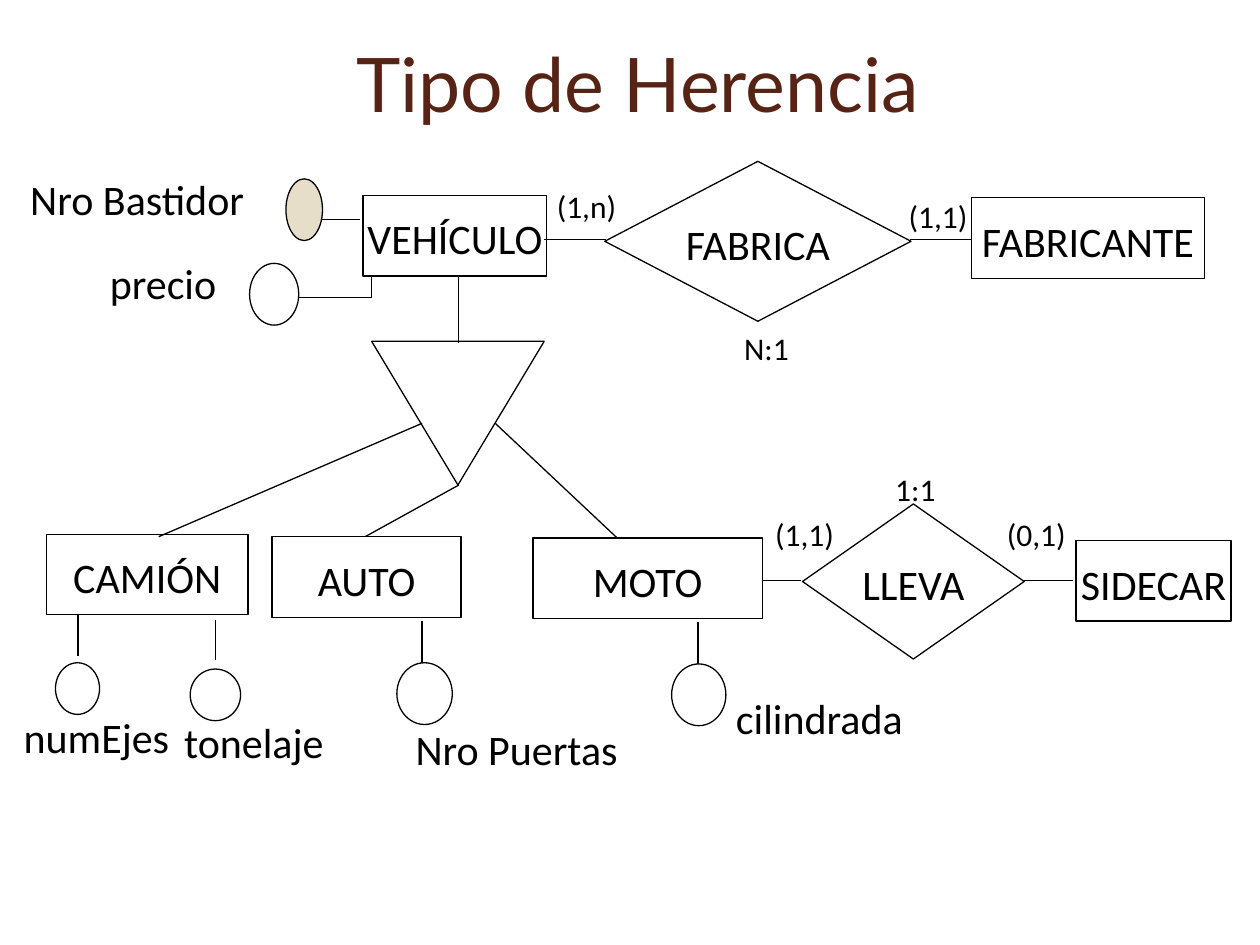
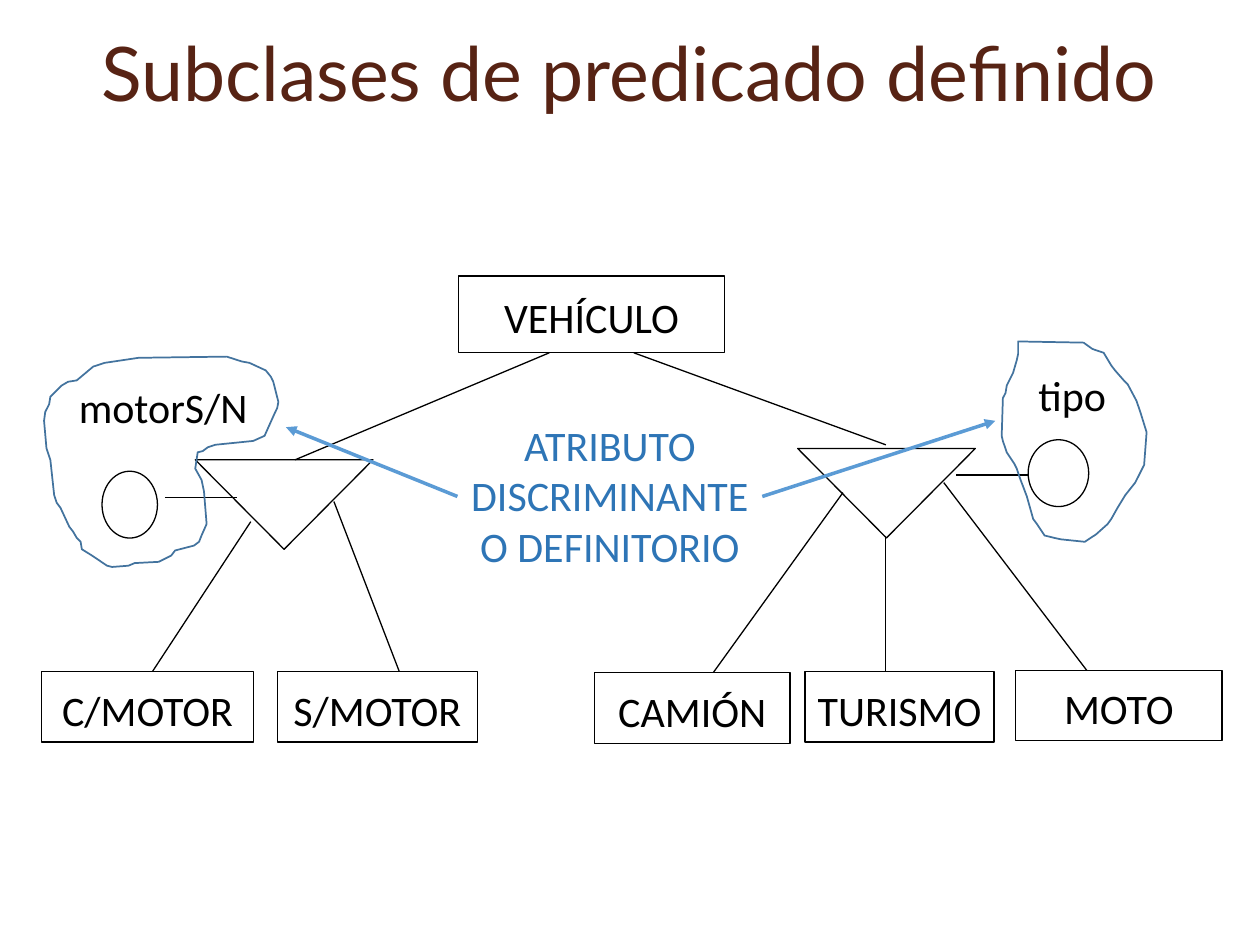
from dataclasses import dataclass

from lxml import etree
from pptx import Presentation
from pptx.dml.color import RGBColor
from pptx.enum import shapes as sh, text as tx
from pptx.oxml import ns
from pptx.util import Pt

Kind = sh.MSO_SHAPE
Align = tx.PP_ALIGN


@dataclass(frozen=True)
class Theme:
    ink: str = "000000"
    paper: str = "FFFFFF"
    title: str = "572314"
    key: str = "E7DEC9"
    cloud: str = "43739E"
    arrow: str = "5B9BD5"
    note: str = "2E75B6"
    head: str = "Lato"
    body: str = "Calibri"
    big: float = 43
    mid: float = 24
    small: float = 18
    thin: float = 0.75
    bold: float = 1
    thick: float = 2


THEME = Theme()


@dataclass(frozen=True)
class Node:
    kind: Kind
    left: float
    top: float
    width: float
    height: float
    text: str = ""
    fill: str = ""
    line: float = THEME.thin


@dataclass(frozen=True)
class Label:
    text: str
    left: float
    top: float
    width: float
    height: float
    size: float = THEME.mid
    color: str = THEME.ink
    font: str = THEME.body
    align: Align = Align.CENTER
    middle: bool = False


@dataclass(frozen=True)
class Link:
    x1: float
    y1: float
    x2: float
    y2: float
    color: str = THEME.ink
    line: float = THEME.thin
    arrow: bool = False


def rgb(code: str) -> RGBColor:
    return RGBColor.from_string(code)


def write(frame, text: str, size: float, color: str, font: str,
          align: Align, middle: bool) -> None:
    """Fill a text frame, one paragraph a line; only left text wraps."""
    frame.word_wrap = align == Align.LEFT
    frame.margin_left = frame.margin_right = 0
    frame.margin_top, frame.margin_bottom = Pt(3.6), Pt(0.7)
    frame.vertical_anchor = tx.MSO_ANCHOR.MIDDLE if middle else tx.MSO_ANCHOR.TOP
    frame.text = text
    for para in frame.paragraphs:
        para.alignment = align
        para.font.size = Pt(size)
        para.font.name = font
        para.font.color.rgb = rgb(color)


def style(shape, fill: str, color: str, line: float) -> None:
    shape.shadow.inherit = False
    if fill:
        shape.fill.solid()
        shape.fill.fore_color.rgb = rgb(fill)
    else:
        shape.fill.background()
    shape.line.color.rgb = rgb(color)
    shape.line.width = Pt(line)


def add_node(slide, node: Node) -> None:
    place = map(Pt, (node.left, node.top, node.width, node.height))
    shape = slide.shapes.add_shape(node.kind, *place)
    style(shape, node.fill, THEME.ink, node.line)
    if node.kind == Kind.ISOSCELES_TRIANGLE:
        shape._element.spPr.xfrm.set("flipV", "1")
    if node.text:
        write(shape.text_frame, node.text, THEME.mid, THEME.ink,
              THEME.body, Align.CENTER, True)


def add_label(slide, label: Label) -> None:
    place = map(Pt, (label.left, label.top, label.width, label.height))
    box = slide.shapes.add_textbox(*place)
    write(box.text_frame, label.text, label.size, label.color,
          label.font, label.align, label.middle)


def add_link(slide, link: Link) -> None:
    ends = map(Pt, (link.x1, link.y1, link.x2, link.y2))
    wire = slide.shapes.add_connector(sh.MSO_CONNECTOR.STRAIGHT, *ends)
    wire.line.color.rgb = rgb(link.color)
    wire.line.width = Pt(link.line)
    if link.arrow:
        tail = etree.SubElement(wire.line._get_or_add_ln(), ns.qn("a:tailEnd"))
        tail.set("type", "triangle")
    etree.SubElement(wire._element.spPr, ns.qn("a:effectLst"))


def add_cloud(slide, points: list[tuple[float, float]]) -> None:
    dots = [(Pt(x), Pt(y)) for x, y in points]
    pen = slide.shapes.build_freeform(*dots[0])
    pen.add_line_segments(dots[1:], close=True)
    style(pen.convert_to_shape(), "", THEME.cloud, THEME.bold)


def box(left: float, top: float, width: float, text: str, height: float = 46.1,
        fill: str = "", line: float = THEME.thin) -> Node:
    return Node(Kind.RECTANGLE, left, top, width, height, text, fill, line)


def leaf(left: float, top: float, width: float, text: str) -> Node:
    return box(left, top, width, text, 40.3, THEME.paper)


def oval(left: float, top: float, width: float, height: float,
         fill: str = THEME.paper) -> Node:
    return Node(Kind.OVAL, left, top, width, height, fill=fill)


def isa(left: float, top: float, width: float, height: float) -> Node:
    return Node(Kind.ISOSCELES_TRIANGLE, left, top, width, height)


def count(text: str, left: float, top: float, width: float = 43.9) -> Label:
    return Label(text, left, top, width, 30, THEME.small)


def heading(text: str, left: float, top: float, height: float) -> Label:
    return Label(text, left, top, 678.2, height, THEME.big, THEME.title,
                 THEME.head, middle=True)


TYPES = [
    Link(434.9, 331.9, 457.9, 331.9),
    Link(170.6, 169.9, 212.4, 169.9),
    Link(212.4, 158.4, 212.4, 169.9),
    Link(398.9, 355.7, 398.9, 379.4),
    Link(519.8, 136.8, 555.1, 136.8),
    Link(241.2, 241.9, 90.7, 306.7),
    Link(283, 241.9, 353.5, 308.2),
    Link(262.1, 277.2, 207.4, 307.4),
    Link(585.4, 331.9, 613.4, 331.9),
    Link(44.6, 351.4, 44.6, 375.1),
    Link(123.1, 354.2, 123.1, 377.3),
    Link(241.2, 355, 241.2, 378.7),
    Link(262.1, 157.7, 262.1, 195.8),
    Link(177.8, 125.3, 205.9, 125.3),
    Link(311, 136.8, 346.3, 136.8),
    box(207.4, 111.6, 105.1, "VEHÍCULO"),
    box(555.1, 113, 133.2, "FABRICANTE"),
    box(26.6, 305.3, 115.2, "CAMIÓN"),
    box(155.5, 306.7, 108, "AUTO", fill=THEME.paper),
    box(304.6, 307.4, 131, "MOTO", fill=THEME.paper),
    box(614.9, 308.9, 88.6, "SIDECAR", line=THEME.bold),
    Node(Kind.DIAMOND, 345.6, 92.2, 175, 91.4, "FABRICA"),
    Node(Kind.DIAMOND, 458.6, 288, 126.7, 88.6, "LLEVA"),
    isa(212.4, 195.1, 98.6, 82.1),
    oval(163.4, 102.2, 20.9, 35.3, THEME.key),
    oval(142.6, 150.5, 28.1, 35.3),
    oval(31.7, 378.7, 25.2, 29.5),
    oval(108.7, 382.3, 28.8, 29.5),
    oval(226.8, 378.7, 31.7, 35.3),
    oval(383.8, 379.4, 31, 35.3),
    Label("Nro Bastidor", 17.3, 95.8, 170.6, 51, align=Align.LEFT),
    Label("precio", 54.7, 143.6, 77, 51),
    Label("numEjes", 12.1, 403.2, 86, 51),
    Label("tonelaje", 101.5, 406.1, 87.1, 51),
    Label("Nro Puertas", 235.2, 409.7, 120, 44.6),
    Label("cilindrada", 413.2, 392.4, 110, 51),
    count("(1,n)", 313.2, 103.4),
    count("(1,1)", 514.1, 108.9),
    count("N:1", 416, 184.5),
    count("(1,1)", 437.8, 290.9),
    count("(0,1)", 570.2, 290.9),
    count("1:1", 508.3, 265, 29.5),
]

CLASSES = [
    Link(313.9, 201.6, 168.5, 262.8),
    Link(362.2, 201.6, 506.2, 254.2),
    Link(143.3, 298.1, 87.1, 383.8),
    Link(190.8, 286.6, 228.2, 383.8),
    Link(481.7, 281.5, 407.5, 384.5),
    Link(506.2, 306, 506.2, 383.8),
    Link(539.3, 275.8, 622.1, 384.5),
    Link(94.3, 284.4, 135.4, 284.4),
    Link(546.5, 271.4, 587.5, 271.4),
    box(262.1, 157.7, 151.9, "VEHÍCULO", 43.9),
    leaf(23.8, 383.8, 121, "C/MOTOR"),
    leaf(158.4, 383.8, 114.5, "S/MOTOR"),
    leaf(339.8, 384.5, 111.6, "CAMIÓN"),
    leaf(460.1, 383.8, 108, "TURISMO"),
    leaf(580.3, 383, 118.1, "MOTO"),
    isa(111.6, 262.8, 101.5, 51.1),
    isa(455.8, 256.3, 101.5, 51.1),
    oval(58.3, 269.3, 31.7, 38.2),
    oval(587.5, 251.3, 34.6, 38.2),
    Label("motorS/N", 35.3, 214.6, 115.9, 46.8),
    Label("tipo", 587.5, 207.4, 50.4, 46.8),
    Label("ATRIBUTO\nDISCRIMINANTE\nO DEFINITORIO", 261.4, 236.2, 174.2, 94.3,
          color=THEME.note),
    Link(435.6, 283.7, 568.8, 240.5, THEME.arrow, THEME.thick, True),
    Link(261.4, 283.7, 163.4, 244.1, THEME.arrow, THEME.thick, True),
]

ENGINE = [
    (43.9, 217.4), (38.9, 218.2), (35.3, 220.3), (28.8, 226.8), (28.1, 231.1),
    (25.9, 235.4), (25.2, 240.5), (26.6, 256.3), (28.8, 262.8), (31, 283),
    (32.4, 287.3), (34.6, 290.2), (39.6, 301), (41.8, 303.8), (43.9, 307.4),
    (46.1, 309.6), (46.8, 313.9), (52.6, 317.5), (61.2, 323.3), (64.1, 324),
    (73.4, 323.3), (77, 321.8), (90.7, 321.1), (97.9, 317.5), (100.1, 314.6),
    (110.9, 311.8), (113.8, 309.6), (115.2, 306), (118.1, 299.5),
    (116.6, 280.8), (115.2, 274.3), (111.6, 267.8), (113, 258.5),
    (115.9, 257.8), (118.8, 255.6), (123.1, 254.2), (144.7, 252),
    (151.2, 249.1), (157, 236.2), (158.4, 233.3), (159.1, 229.7),
    (156.2, 218.2), (154.8, 215.3), (151.9, 211.7), (142.6, 207.4),
    (138.2, 206.6), (129.6, 203.8), (79.2, 204.5), (59.8, 207.4), (53.3, 209.5),
]

SORT = [
    (581.8, 195.1), (619.2, 195.8), (624.2, 199.4), (630.7, 201.6),
    (635, 208.8), (637.2, 211.7), (642.2, 217.4), (644.4, 219.6), (649.4, 229),
    (651.6, 235.4), (655.2, 247), (653.8, 265.7), (648.7, 275.8), (643, 283),
    (638.6, 290.2), (635, 296.6), (632.9, 299.5), (626.4, 305.3),
    (619.9, 309.6), (606.2, 308.2), (602.6, 307.4), (596.9, 306),
    (592.6, 299.5), (590.4, 296.6), (586.8, 283.7), (584.6, 277.9),
    (583.2, 274.3), (581, 267.8), (579.6, 265), (575.3, 258.5), (573.1, 252),
    (572.4, 249.1), (573.1, 227.5), (574.6, 224.6), (575.3, 220.3),
    (578.9, 213.1), (581, 205.9), (581.8, 202.3),
]

DRAW = {Node: add_node, Label: add_label, Link: add_link, list: add_cloud}


def main() -> None:
    deck = Presentation()
    deck.slide_width, deck.slide_height = Pt(720), Pt(540)
    pages = [
        [heading("Tipo de Herencia", 25.2, 0.7, 90), *TYPES],
        [heading("Subclases de predicado definido", 20.2, 3.5, 72),
         *CLASSES, ENGINE, SORT],
    ]
    for parts in pages:
        slide = deck.slides.add_slide(deck.slide_layouts[6])
        for part in parts:
            DRAW[type(part)](slide, part)
    deck.save("out.pptx")


if __name__ == "__main__":
    main()
